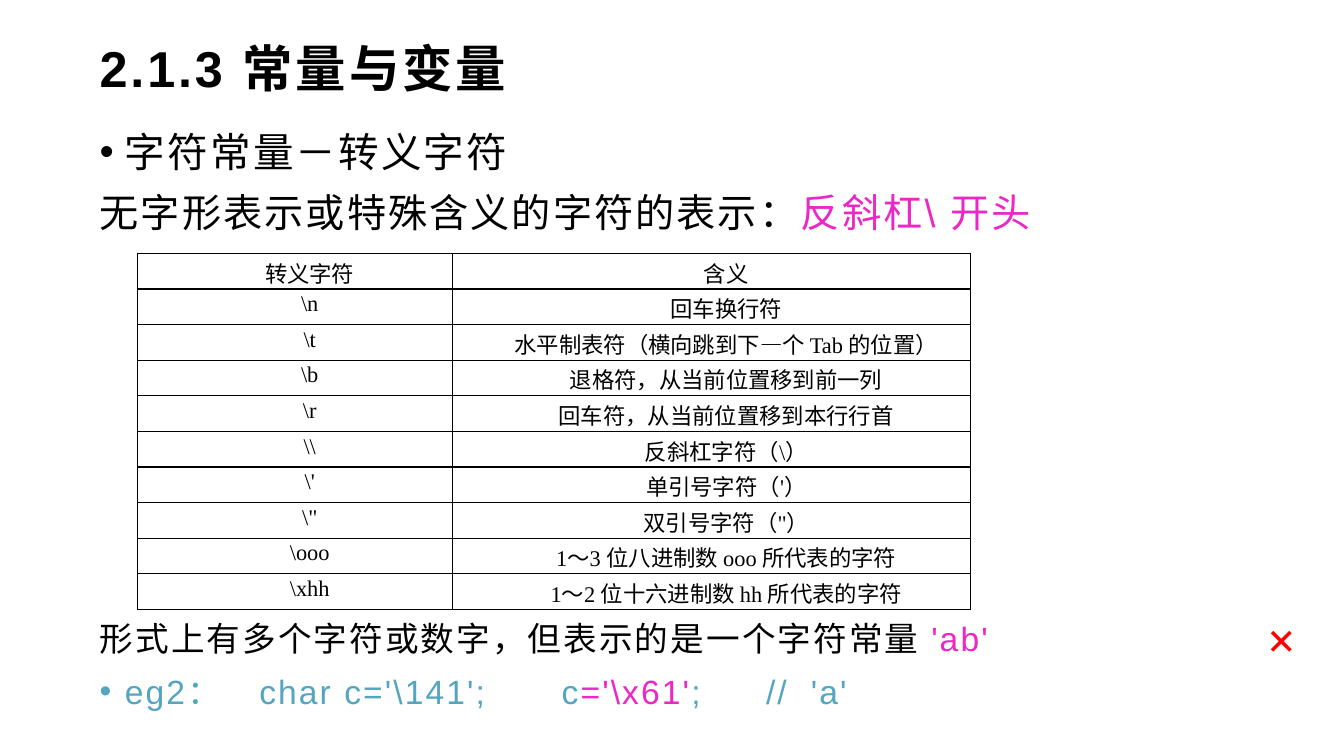
from dataclasses import dataclass

from lxml import etree
from pptx import Presentation
from pptx.dml.color import RGBColor
from pptx.enum import text as t
from pptx.oxml import ns
from pptx.util import Pt


@dataclass(frozen=True)
class Theme:
    ink: str = "000000"
    magenta: str = "EB27C6"
    teal: str = "54A5BF"
    red: str = "FF0000"
    sans: str = "Arial"
    serif: str = "Times New Roman"
    cjk: str = "Noto Sans CJK SC"
    title: int = 36
    topic: int = 29
    lead: int = 28
    body: int = 24
    cell: int = 16


THEME = Theme()

ESCAPES = [
    ("转义字符", "含义"),
    ("\\n", "回车换行符"),
    ("\\t", "水平制表符（横向跳到下|—个| Tab 的位置）"),
    ("\\b", "退格符，从当前位置移到前一列"),
    ("\\r", "回车符，从当前位置移到本行行首"),
    ("\\\\", "反斜杠字符（\\）"),
    ("\\'", "单引号字符（'）"),
    ("\\\"", "双引号字符（\"）"),
    ("\\ooo", "1～3 位八进制数 ooo 所代表的字符"),
    ("\\xhh", "1～2 位十六进制数 hh 所代表的字符"),
]


def add_text(paragraph, text, size=THEME.body, color=THEME.ink, font=THEME.sans,
             bold=False, tracking=0):
    run = paragraph.add_run()
    run.text = text
    run.font.size = Pt(size)
    run.font.name = font
    run.font.bold = bold
    run.font.color.rgb = RGBColor.from_string(color)
    if tracking:
        run.font._element.set("spc", str(int(tracking * 100)))


def child(parent, tag, **attributes):
    return etree.SubElement(parent, ns.qn(tag), attributes)


def place(shape, box):
    shape.left, shape.top, shape.width, shape.height = (Pt(v) for v in box)


def format_line(paragraph, bullet=False, before=0, tabs=()):
    """Set spacing, hanging indent, bullet and tab stops (in points)."""
    paragraph.line_spacing = 1.1
    paragraph.space_before, paragraph.space_after = Pt(before), Pt(6)
    props = paragraph._p.get_or_add_pPr()
    hang = Pt(18)
    props.set("marL", str(hang))
    props.set("indent", str(-hang))
    if bullet:
        child(props, "a:buFont", typeface=THEME.sans)
        child(props, "a:buChar", char="•")
    else:
        child(props, "a:buNone")
    if tabs:
        stops = child(props, "a:tabLst")
        for stop in tabs:
            child(stops, "a:tab", pos=str(Pt(stop)), algn="l")


def build_title(title, box):
    place(title, box)
    frame = title.text_frame
    frame.auto_size = t.MSO_AUTO_SIZE.NONE
    frame.vertical_anchor = t.MSO_ANCHOR.MIDDLE
    heading = frame.paragraphs[0]
    heading.alignment = t.PP_ALIGN.LEFT
    add_text(heading, "2.1.3 常量与变量", size=THEME.title, bold=True, tracking=2)


def build_body(body, box):
    """Two lines above the table, two below it."""
    place(body, box)
    frame = body.text_frame
    frame.auto_size = t.MSO_AUTO_SIZE.NONE
    frame.vertical_anchor = t.MSO_ANCHOR.TOP
    ink, magenta, teal = THEME.ink, THEME.magenta, THEME.teal
    lines = [
        (dict(bullet=True), THEME.topic, THEME.serif, [("字符常量－转义字符", ink)]),
        ({}, THEME.lead, THEME.sans,
         [("无字形表示或特殊含义的字符的表示：", ink), ("反斜杠\\ 开头", magenta)]),
        (dict(before=264, tabs=[765]), THEME.body, THEME.sans,
         [("形式上有多个字符或数字，但表示的是一个字符常量\t", ink), ("'ab'", magenta)]),
        (dict(bullet=True, tabs=[114, 330, 476, 508]), THEME.body, THEME.sans,
         [("eg2：\tchar c='\\141';\tc", teal), ("='\\x61'", magenta),
          (";\t//\t'a'", teal)]),
    ]
    for i, (layout, size, font, runs) in enumerate(lines):
        line = frame.add_paragraph() if i else frame.paragraphs[0]
        format_line(line, **layout)
        for text, color in runs:
            add_text(line, text, size=size, color=color, font=font, tracking=1.5)


def build_cell(cell, content):
    """Fill one cell; bars in the content switch between the two fonts."""
    cell.margin_left = cell.margin_right = Pt(3)
    cell.margin_top = cell.margin_bottom = Pt(2)
    props = cell._tc.get_or_add_tcPr()
    for side in ("a:lnL", "a:lnR", "a:lnT", "a:lnB"):
        fill = child(child(props, side, w=str(Pt(1))), "a:solidFill")
        child(fill, "a:srgbClr", val=THEME.ink)
    cell.fill.background()
    entry = cell.text_frame.paragraphs[0]
    entry.alignment = t.PP_ALIGN.CENTER
    entry._p.get_or_add_pPr().set("indent", str(Pt(21)))
    for i, text in enumerate(content.split("|")):
        add_text(entry, text, size=THEME.cell, font=THEME.cjk if i % 2 else THEME.serif)


def build_escapes(slide, box):
    left, top, width, height = (Pt(v) for v in box)
    table = slide.shapes.add_table(len(ESCAPES), 2, left, top, width, height).table
    table.first_row = table.horz_banding = False
    table.columns[0].width = Pt(225.5)
    table.columns[1].width = width - Pt(225.5)
    for r, entries in enumerate(ESCAPES):
        for c, content in enumerate(entries):
            build_cell(table.cell(r, c), content)


def build_cross(slide, box):
    frame = slide.shapes.add_textbox(*(Pt(v) for v in box)).text_frame
    frame.word_wrap = True
    add_text(frame.paragraphs[0], "×", size=THEME.title, color=THEME.red,
             font=THEME.serif, bold=True)


def main():
    deck = Presentation()
    deck.slide_width, deck.slide_height = Pt(960), Pt(540)
    slide = deck.slides.add_slide(deck.slide_layouts[1])
    build_title(slide.shapes.title, (64, 24, 816, 48))
    build_body(slide.placeholders[1], (64, 83.5, 864, 433.5))
    build_cross(slide, (898, 431, 60, 50))
    build_escapes(slide, (98, 181, 595, 254.5))
    deck.save("out.pptx")


if __name__ == "__main__":
    main()
